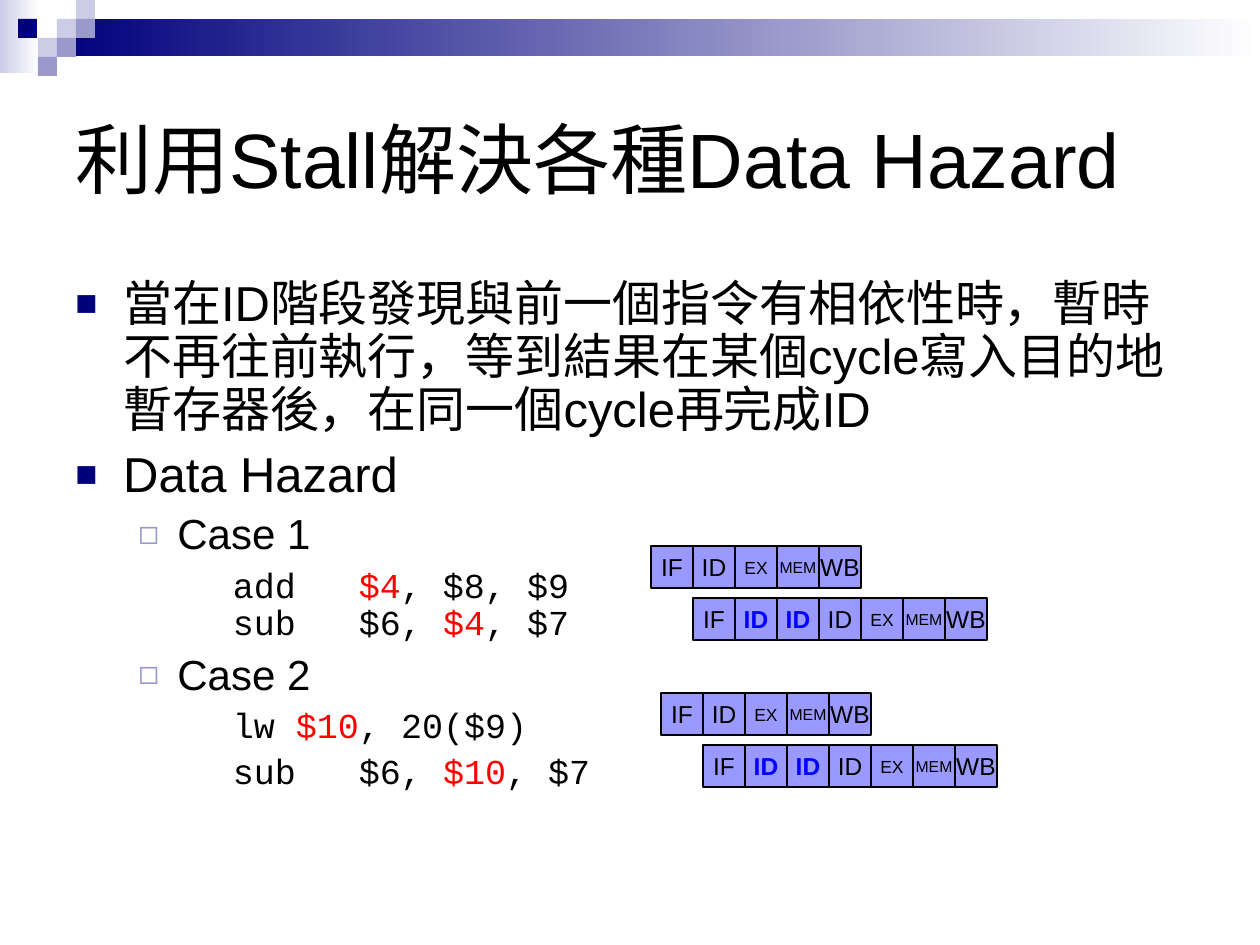
from dataclasses import dataclass

from lxml import etree
from pptx import Presentation
from pptx.dml.color import RGBColor
from pptx.enum.shapes import MSO_SHAPE
from pptx.enum.text import MSO_ANCHOR, PP_ALIGN
from pptx.oxml.ns import qn
from pptx.util import Emu, Inches, Pt

RECTANGLE = MSO_SHAPE.RECTANGLE
MIDDLE = MSO_ANCHOR.MIDDLE
CENTER = PP_ALIGN.CENTER
PX_PER_INCH = 126
BLACK, RED, BLUE = "000000", "FF0000", "0000FF"
NAVY, LAVENDER, PALE, WHITE = "00007D", "9999CC", "CCCCE6", "FFFFFF"
STAGE_FILL = "9999FF"
SANS, MONO = "Arial", "Courier New"
CELL = 42
SQUARE = 19


@dataclass(frozen=True)
class Level:
    """Look of one outline level."""
    margin: float
    indent: float
    before: int
    size: int
    font: str
    tabs: tuple
    bullet: str = ""
    bullet_color: str = ""
    bullet_percent: int = 100


@dataclass(frozen=True)
class Piece:
    """Stretch of text in one colour."""
    text: str
    color: str = BLACK


@dataclass(frozen=True)
class Pipeline:
    """Row of stages starting at a position in px."""
    left: int
    top: int
    stages: tuple


POINT = Level(0.38, -0.38, 7, 28, SANS, tuple(range(1, 9)), "■", NAVY, 75)
CASE = Level(0.81, -0.31, 6, 24, SANS, tuple(range(1, 9)), "◻", LAVENDER, 80)
CODE = Level(1.25, -0.25, 5, 20, MONO, (0, *range(2, 9)))

OUTLINE = (
    (POINT, (Piece("當在ID階段發現與前一個指令有相依性時，暫時不再往前執行，"
                   "等到結果在某個cycle寫入目的地暫存器後，在同一個cycle再完成ID"),)),
    (POINT, (Piece("Data Hazard"),)),
    (CASE, (Piece("Case 1"),)),
    (CODE, (Piece("\tadd\t"), Piece("$4", RED), Piece(", $8, $9\nsub\t$6, "),
            Piece("$4", RED), Piece(", $7"))),
    (CASE, (Piece("Case 2"),)),
    (CODE, (Piece("\tlw\t"), Piece("$10", RED), Piece(", 20($9)"))),
    (CODE, (Piece("\tsub\t$6, "), Piece("$10", RED), Piece(", $7"))),
)

STAGE_SIZES = {"EX": 10, "MEM": 9}
STALL = "stall"
SMOOTH = ("IF", "ID", "EX", "MEM", "WB")
STALLED = ("IF", STALL, STALL, "ID", "EX", "MEM", "WB")
PIPELINES = (
    Pipeline(651, 546, SMOOTH),
    Pipeline(693, 598, STALLED),
    Pipeline(661, 693, SMOOTH),
    Pipeline(703, 745, STALLED),
)
SQUARES = (
    (57, 19, PALE), (76, 0, PALE), (76, 19, LAVENDER), (38, 38, PALE),
    (18, 19, NAVY), (57, 38, LAVENDER), (38, 57, LAVENDER),
)


def px(length: int) -> Emu:
    """Turn px into EMU."""
    return Emu(round(length * 914400 / PX_PER_INCH))


def rgb(color: str) -> RGBColor:
    """Turn a hex string into a colour."""
    return RGBColor.from_string(color)


def add_run(paragraph, text: str, size: int, font: str, color: str, bold: bool = False) -> None:
    """Add one formatted run."""
    run = paragraph.add_run()
    run.text = text
    run.font.size = Pt(size)
    run.font.name = font
    run.font.bold = bold
    run.font.color.rgb = rgb(color)


def add_rectangle(slide, left: int, top: int, width: int, height: int, color: str, fade: str = ""):
    """Add a borderless rectangle, plain or fading to the right."""
    rectangle = slide.shapes.add_shape(RECTANGLE, px(left), px(top), px(width), px(height))
    rectangle.shadow.inherit = False
    rectangle.line.fill.background()
    if fade:
        rectangle.fill.gradient()
        rectangle.fill.gradient_angle = 0
        for stop, shade in zip(rectangle.fill.gradient_stops, (color, fade)):
            stop.color.rgb = rgb(shade)
    else:
        rectangle.fill.solid()
        rectangle.fill.fore_color.rgb = rgb(color)
    return rectangle


def add_text_frame(slide, left: int, top: int, width: int, height: int):
    """Add a wrapping text box and return its frame."""
    frame = slide.shapes.add_textbox(px(left), px(top), px(width), px(height)).text_frame
    frame.word_wrap = True
    return frame


def add_child(parent, tag: str, **attributes: str):
    """Append one drawing element."""
    return etree.SubElement(parent, qn(tag), attributes)


def style_paragraph(paragraph, level: Level) -> None:
    """Apply spacing, indents, bullet and tab stops of a level."""
    paragraph.line_spacing = 0.9
    paragraph.space_before = Pt(level.before)
    properties = paragraph._p.get_or_add_pPr()
    properties.set("marL", str(Inches(level.margin)))
    properties.set("indent", str(Inches(level.indent)))
    if level.bullet:
        add_child(add_child(properties, "a:buClr"), "a:srgbClr", val=level.bullet_color)
        add_child(properties, "a:buSzPct", val=str(level.bullet_percent * 1000))
        add_child(properties, "a:buFont", typeface=SANS)
        add_child(properties, "a:buChar", char=level.bullet)
    else:
        add_child(properties, "a:buNone")
    tab_list = add_child(properties, "a:tabLst")
    for position in level.tabs:
        add_child(tab_list, "a:tab", pos=str(Inches(position)), algn="l")


def add_outline(slide) -> None:
    """Add the bulleted explanation with its code lines."""
    frame = add_text_frame(slide, 63, 273, 1134, 536)
    for index, (level, pieces) in enumerate(OUTLINE):
        paragraph = frame.add_paragraph() if index else frame.paragraphs[0]
        style_paragraph(paragraph, level)
        for piece in pieces:
            for number, line in enumerate(piece.text.split("\n")):
                if number:
                    paragraph.add_line_break()
                add_run(paragraph, line, level.size, level.font, piece.color)


def add_pipeline(slide, pipeline: Pipeline) -> None:
    """Add the adjoining stage cells of one instruction."""
    for index, stage in enumerate(pipeline.stages):
        stalled = stage == STALL
        label = "ID" if stalled else stage
        cell = add_rectangle(slide, pipeline.left + index * CELL, pipeline.top, CELL, CELL, STAGE_FILL)
        cell.line.color.rgb = rgb(BLACK)
        cell.line.width = Pt(0.75)
        frame = cell.text_frame
        frame.word_wrap = False
        frame.vertical_anchor = MIDDLE
        frame.paragraphs[0].alignment = CENTER
        add_run(frame.paragraphs[0], label, STAGE_SIZES.get(label, 14), SANS,
                BLUE if stalled else BLACK, stalled)


def main() -> None:
    """Build and save the slide."""
    presentation = Presentation()
    presentation.slide_width, presentation.slide_height = px(1260), px(945)
    slide = presentation.slides.add_slide(presentation.slide_layouts[6])
    add_rectangle(slide, 0, 0, 39, 73, PALE, WHITE)
    add_rectangle(slide, 57, 19, 1203, 37, NAVY, WHITE)
    for left, top, color in SQUARES:
        add_rectangle(slide, left, top, SQUARE, SQUARE, color)
    title = add_text_frame(slide, 63, 63, 1134, 189)
    title.vertical_anchor = MIDDLE
    add_run(title.paragraphs[0], "利用Stall解決各種Data Hazard", 44, SANS, BLACK)
    add_outline(slide)
    for pipeline in PIPELINES:
        add_pipeline(slide, pipeline)
    presentation.save("out.pptx")


if __name__ == "__main__":
    main()
